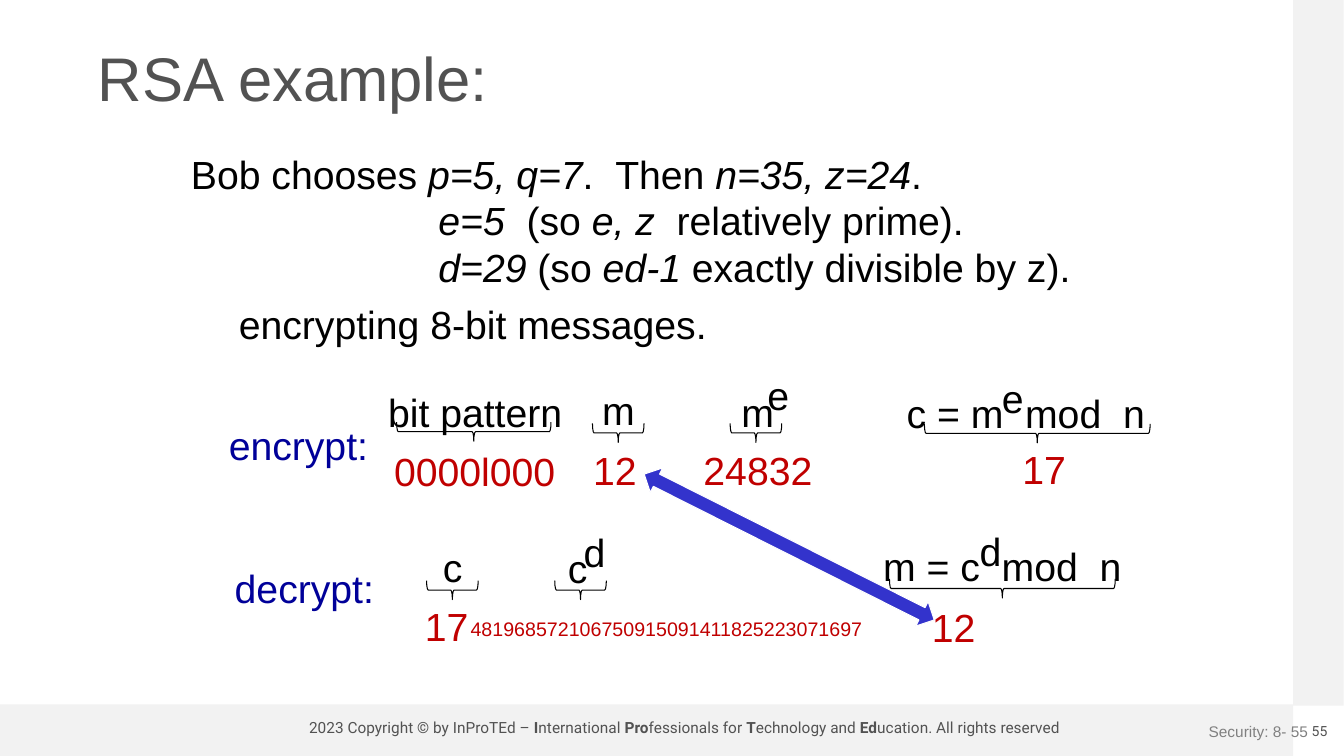
from pptx import Presentation
from pptx.dml.color import RGBColor
from pptx.enum.shapes import MSO_SHAPE
from pptx.enum.text import MSO_ANCHOR, PP_ALIGN
from pptx.util import Cm, Pt

BLACK, RED, NAVY, GREY = "000000", "C00000", "000099", "525252"
BAND = "F2F2F2"
WIDE_SPACE = "_"

LABELS = [
    ("encrypt:", 5.49, 10.49, 4.06, NAVY),
    ("bit pattern", 9.5, 9.65, 4.95, BLACK),
    ("m", 14.91, 9.6, 1.35, BLACK),
    ("m", 18.42, 9.65, 1.35, BLACK),
    ("e", 19.08, 9.22, 1.07, BLACK),
    ("c = m_mod_n", 22.56, 9.68, 6.58, BLACK),
    ("e", 24.99, 9.32, 1.07, BLACK),
    ("0000l000", 9.65, 11.15, 4.62, RED),
    ("12", 14.68, 11.13, 1.63, RED),
    ("24832", 17.45, 11.13, 3.3, RED),
    ("17", 25.5, 11.1, 1.63, RED),
    ("decrypt:", 5.64, 14.1, 4.06, NAVY),
    ("c", 10.9, 13.56, 1.02, BLACK),
    ("c", 14.05, 13.59, 1.02, BLACK),
    ("d", 14.45, 13.18, 1.07, BLACK),
    ("m = c_mod_n", 21.97, 13.54, 6.58, BLACK),
    ("d", 24.43, 13.16, 1.07, BLACK),
    ("17", 10.44, 15.06, 1.63, RED),
    ("12", 23.22, 15.09, 1.63, RED),
]

BRACES = [
    (11.94, 10.88, 3.89),
    (15.58, 10.91, 1.3),
    (19.05, 10.91, 1.3),
    (26.14, 10.92, 5.69),
    (11.4, 14.87, 1.3),
    (14.63, 14.87, 1.3),
    (25.26, 14.83, 5.69),
]


def colour(value):
    return RGBColor.from_string(value)


def add_span(para, text, size, font, tint, **formats):
    span = para.add_run()
    span.text = text
    span.font.color.rgb = colour(tint)
    values = {"size": Pt(size), "name": font, **formats}
    for name, value in values.items():
        setattr(span.font, name, value)
    return span


def add_spans(para, pieces, emphasis, size, font, tint):
    for index, piece in enumerate(pieces):
        formats = {emphasis: index % 2 == 1}
        for position, text in enumerate(piece.split(WIDE_SPACE)):
            if position:
                gap = add_span(para, " ", size, font, tint, **formats)
                gap.font._element.set("spc", str(round(size * 27.8)))
            if text:
                add_span(para, text, size, font, tint, **formats)


def add_text(page, lines, left, top, width, height=1.45, size=28, tint=BLACK,
             font="Arial", align=PP_ALIGN.CENTER, emphasis="italic", **frame):
    box = page.shapes.add_textbox(Cm(left), Cm(top), Cm(width), Cm(height))
    for name, value in {"word_wrap": False, **frame}.items():
        setattr(box.text_frame, name, value)
    for index, pieces in enumerate(lines):
        para = box.text_frame.add_paragraph() if index else box.text_frame.paragraphs[0]
        para.alignment = align
        add_spans(para, pieces, emphasis, size, font, tint)


def add_figure(page, kind, left, top, width, height, fill=None, line=None,
               rotation=0, adjustments=()):
    figure = page.shapes.add_shape(kind, Cm(left), Cm(top), Cm(width), Cm(height))
    figure.shadow.inherit = False
    figure.rotation = rotation
    for index, value in enumerate(adjustments):
        figure.adjustments[index] = value
    if fill:
        figure.fill.solid()
        figure.fill.fore_color.rgb = colour(fill)
    else:
        figure.fill.background()
    if line:
        figure.line.color.rgb = colour(line)
        figure.line.width = Pt(0.75)
    else:
        figure.line.fill.background()


def add_brace(page, centre_x, centre_y, span_width):
    depth = 0.48
    add_figure(page, MSO_SHAPE.RIGHT_BRACE, centre_x - depth / 2,
               centre_y - span_width / 2, depth, span_width,
               line=BLACK, rotation=90, adjustments=(0.083, 0.5))


def add_title(page, text):
    title = page.shapes.title
    places = {"left": 2.21, "top": 0.81, "width": 29.21, "height": 2.49}
    for name, value in places.items():
        setattr(title, name, Cm(value))
    title.text_frame.vertical_anchor = MSO_ANCHOR.MIDDLE
    para = title.text_frame.paragraphs[0]
    para.alignment = PP_ALIGN.LEFT
    para.line_spacing = 0.9
    add_span(para, text, 44, "Arial", GREY)


def add_footer(page):
    add_figure(page, MSO_SHAPE.RECTANGLE, 0, 17.75, 32.59, 1.3, fill=BAND)
    add_figure(page, MSO_SHAPE.RECTANGLE, 32.59, 0, 1.27, 17.78, fill=BAND)
    margins = dict.fromkeys(
        ("margin_left", "margin_right", "margin_top", "margin_bottom"), 0)
    add_text(page, [["55"]], 33.05, 18.21, 0.41, 0.43, size=10, tint=GREY,
             font="Roboto", **margins)
    notice = ["2023 Copyright © by InProTEd – ", "I", "nternational ", "Pro",
              "fessionals for ", "T", "echnology and ", "Ed",
              "ucation. All rights reserved"]
    add_text(page, [notice], 6.75, 17.96, 21, 0.74, size=11, tint=GREY,
             font="Roboto", emphasis="bold", word_wrap=True)
    add_text(page, [["Security: 8- 55"]], 25.6, 17.91, 7.62, 1.02, size=11,
             tint="808080", align=PP_ALIGN.RIGHT, word_wrap=True,
             vertical_anchor=MSO_ANCHOR.MIDDLE)


def add_key_choice(page):
    add_text(page, [["Bob chooses ", "p=5, q=7", "._Then ", "n=35, z=24", "."]],
             4.45, 3.66, 19.15)
    add_text(page, [["", "e=5", "_(so ", "e, z", "_relatively prime)."],
                    ["", "d=29", " (so ", "ed-1", " exactly divisible by z)."]],
             10.8, 4.83, 16.64, 2.64, align=PP_ALIGN.LEFT)
    add_text(page, [["encrypting 8-bit messages."]], 5.77, 7.44, 12.45,
             align=PP_ALIGN.LEFT)


def main():
    deck = Presentation()
    deck.slide_width, deck.slide_height = Cm(33.87), Cm(19.05)
    page = deck.slides.add_slide(deck.slide_layouts[5])
    add_footer(page)
    add_figure(page, MSO_SHAPE.LEFT_RIGHT_ARROW, 15.8, 13.44, 8.18, 0.69,
               fill="3333CC", line="FFFFFF", rotation=26.7, adjustments=(0.5, 0.5))
    add_title(page, "RSA example:")
    add_key_choice(page)
    for text, left, top, width, tint in LABELS:
        add_text(page, [[text]], left, top, width, tint=tint)
    add_text(page, [["481968572106750915091411825223071697"]],
             11.58, 15.42, 10.44, 0.86, size=14, tint=RED)
    for brace in BRACES:
        add_brace(page, *brace)
    deck.save("out.pptx")


if __name__ == "__main__":
    main()
